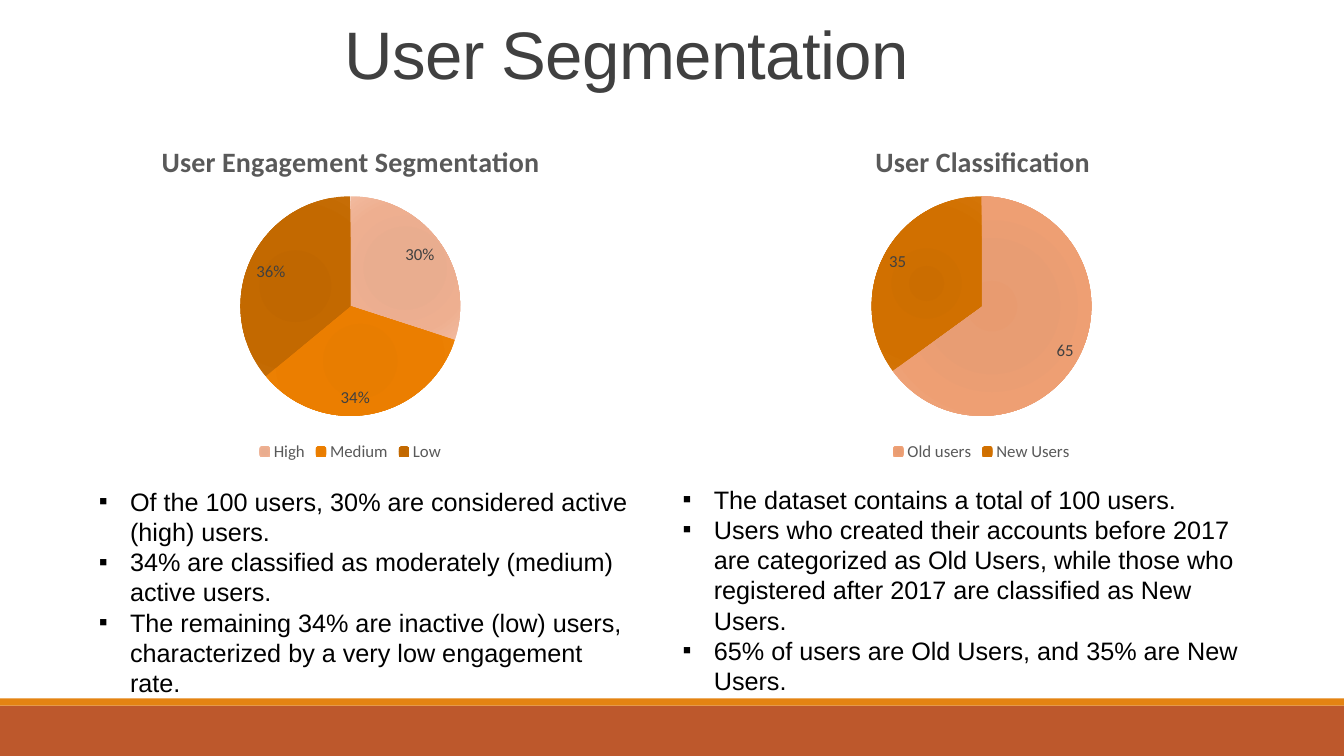
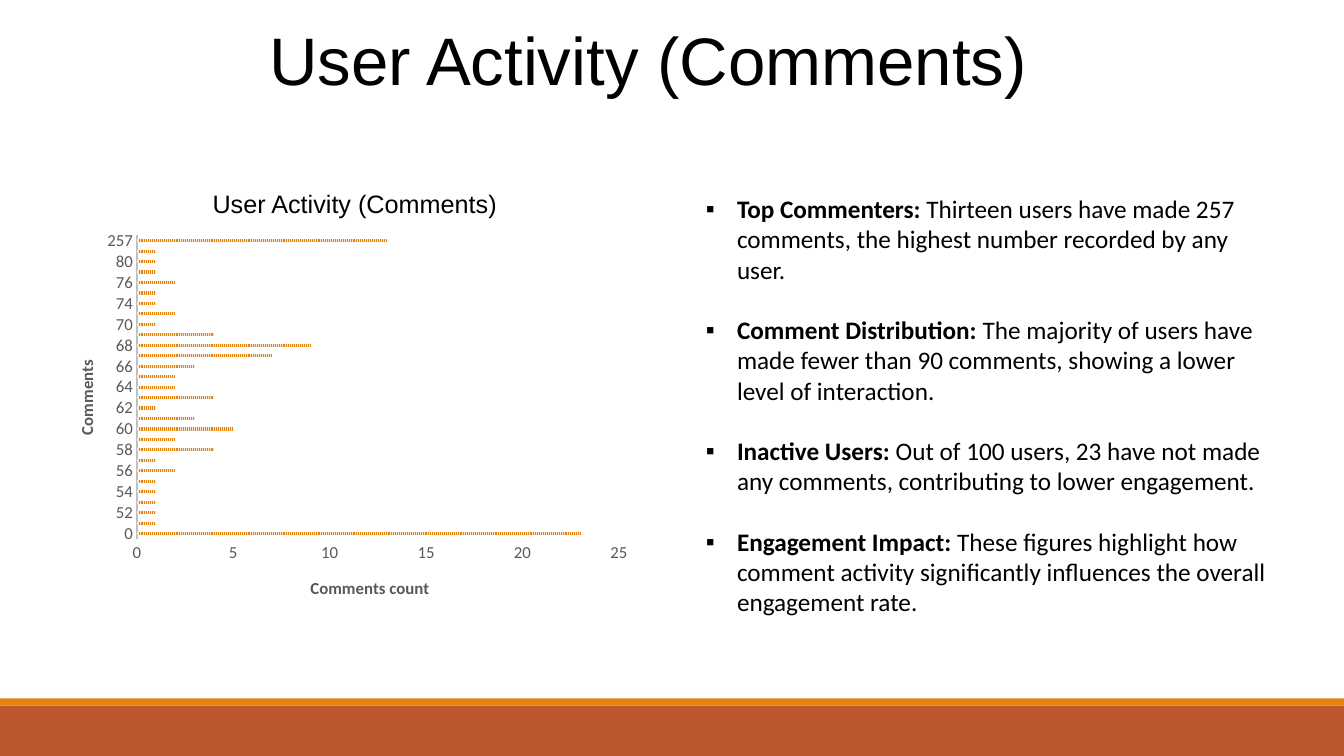
from pptx import Presentation, oxml
from pptx import util as u
from pptx.chart import data as chart_data
from pptx.dml import color
from pptx.enum import chart as chart_enum
from pptx.enum import dml, shapes, text
from pptx.oxml import ns

COLORS = {
    "band": "BD582C",
    "stripe": "E48312",
    "stripe_light": "FBE6CE",
    "title": "404040",
    "text": "000000",
    "label": "595959",
    "axis": "BFBFBF",
}
GRADIENT_STOPS = (0, 34, 70, 100)
PIE_DIAMETER = 2.18
BULLET_INDENT = 0.31
ENGAGEMENT_FILLS = (
    ("E8AB8C", "E9AD8F", "EEAF90", "F2BA9E"),
    ("E57B00", "E87D00", "EB7E00", "EF8407"),
    ("BE6600", "C06700", "C36900", "C66D06"),
)
CLASSIFICATION_FILLS = (
    ("E89B70", "E89D73", "EE9F73", "F0A982"),
    ("CB6D00", "CE6F00", "D17000", "D47507"),
)
ENGAGEMENT_NOTES = (
    "Of the 100 users, 30% are considered active (high) users.",
    "34% are classified as moderately (medium) active users.",
    "The remaining 34% are inactive (low) users, characterized by a very low engagement rate.",
)
CLASSIFICATION_NOTES = (
    "The dataset contains a total of 100 users.",
    "Users who created their accounts before 2017 are categorized as Old Users, "
    "while those who registered after 2017 are classified as New Users.",
    "65% of users are Old Users, and 35% are New Users.",
)
COMMENT_NOTES = (
    ("Top Commenters:", " Thirteen users have made 257 comments, the highest number recorded by any user."),
    ("Comment Distribution:", " The majority of users have made fewer than 90 comments, "
     "showing a lower level of interaction."),
    ("Inactive Users:", " Out of 100 users, 23 have not made any comments, contributing to lower engagement."),
    ("Engagement Impact:", " These figures highlight how comment activity significantly "
     "influences the overall engagement rate."),
)
USERS_BY_COMMENTS = {
    0: 23, 49: 1, 52: 1, 53: 1, 54: 1, 55: 1, 56: 2, 57: 1, 58: 4, 59: 2,
    60: 5, 61: 3, 62: 1, 63: 4, 64: 2, 65: 2, 66: 3, 67: 7, 68: 9, 69: 4,
    70: 1, 72: 2, 74: 1, 75: 1, 76: 2, 77: 1, 80: 1, 83: 1, 257: 13,
}


def rgb(name):
    """Return the colour held under a name."""
    return color.RGBColor.from_string(COLORS[name])


def inches(box):
    """Convert a box of numbers to lengths."""
    return [u.Inches(value) for value in box]


def style_font(font, size=18, name="Arial", fill="text", bold=False):
    """Set the look of a font."""
    font.size, font.name, font.bold = u.Pt(size), name, bold
    font.color.rgb = rgb(fill)


def write(paragraph, content, spacing=None, **style):
    """Add formatted text to a paragraph."""
    run = paragraph.add_run()
    run.text = content
    style_font(run.font, **style)
    if spacing:
        run._r.get_or_add_rPr().set("spc", str(spacing))


def place(shape, box):
    """Move and size a shape."""
    shape.left, shape.top, shape.width, shape.height = inches(box)


def add_master_bands(presentation, slide):
    """Put the two footer bands on the slide master."""
    for name, top, height in (("stripe", 6.93, 0.07), ("band", 7, 0.5)):
        band = slide.shapes.add_shape(
            shapes.MSO_SHAPE.RECTANGLE, 0, u.Inches(top), presentation.slide_width, u.Inches(height))
        band.shadow.inherit = False
        band.fill.solid()
        band.fill.fore_color.rgb = rgb(name)
        band.line.fill.background()
        presentation.slide_master.shapes.element.insert(2, band.element)


def set_title(slide, box, content, anchor, line_spacing=1.0, **style):
    """Fill the title placeholder."""
    title = slide.shapes.title
    place(title, box)
    frame = title.text_frame
    frame.auto_size = text.MSO_AUTO_SIZE.NONE
    frame.vertical_anchor = anchor
    paragraph = frame.paragraphs[0]
    paragraph.alignment = text.PP_ALIGN.LEFT
    paragraph.line_spacing = line_spacing
    write(paragraph, content, size=48, **style)


def add_bullets(placeholder, box, items, gap=0, name="Arial"):
    """Fill a body placeholder with bullets, each a text or a bold lead and a text."""
    place(placeholder, box)
    frame = placeholder.text_frame
    frame.auto_size = text.MSO_AUTO_SIZE.NONE
    for index, item in enumerate(items):
        paragraph = frame.paragraphs[0] if index == 0 else frame.add_paragraph()
        paragraph.line_spacing = u.Pt(21.6)
        paragraph.space_before = u.Pt(gap if index else 0)
        properties = paragraph._p.get_or_add_pPr()
        indent = u.Inches(BULLET_INDENT)
        properties.set("marL", str(indent))
        properties.set("indent", str(-indent))
        for tag in ('buFont typeface="Arial"', 'buChar char="▪"'):
            properties.append(oxml.parse_xml(f"<a:{tag.replace(' ', ' ' + ns.nsdecls('a') + ' ', 1)}/>"))
        lead, body = ("", item) if isinstance(item, str) else item
        if lead:
            write(paragraph, lead, name=name, bold=True)
        write(paragraph, body, name=name)


def set_layout(parent, index, x, y, size=None):
    """Give a chart part a fixed place, in fractions of the chart."""
    for layout in parent.xpath("c:layout"):
        parent.remove(layout)
    values = {"x": x, "y": y}
    tags = '<c:xMode val="edge"/><c:yMode val="edge"/>'
    if size:
        tags = '<c:layoutTarget val="inner"/>' + tags
        values.update(zip("wh", size))
    tags += "".join(f'<c:{key} val="{value:.3f}"/>' for key, value in values.items())
    parent.insert(index, oxml.parse_xml(
        f"<c:layout {ns.nsdecls('c')}><c:manualLayout>{tags}</c:manualLayout></c:layout>"))


def set_chart_title(title, content, x, y, size):
    """Write a bold title at a fixed place in a chart."""
    write(title.text_frame.paragraphs[0], content, size=size, name="Calibri", fill="label", bold=True)
    set_layout(title.element, 1, x, y)


def add_chart(slide, kind, box, categories, values):
    """Add a chart with one series."""
    data = chart_data.CategoryChartData()
    data.categories = categories
    data.add_series("Series 1", values)
    chart = slide.shapes.add_chart(kind, *inches(box), data).chart
    style_font(chart.font, 10, "Calibri")
    chart.has_legend = False
    chart.has_title = False
    return chart


def add_pie(slide, box, title, title_left, slices, fills, percent=False):
    """Add a pie chart with radial gradients, labels and a legend."""
    width, height = box[2:]
    chart = add_chart(slide, chart_enum.XL_CHART_TYPE.PIE, box, list(slices), list(slices.values()))
    chart.has_title = True
    set_chart_title(chart.chart_title, title, title_left, 0.06, 20)
    size = PIE_DIAMETER / width, PIE_DIAMETER / height
    set_layout(chart.element.xpath("//c:plotArea")[0], 0, (1 - size[0]) / 2, 0.23, size)
    chart.has_legend = True
    chart.legend.position = chart_enum.XL_LEGEND_POSITION.BOTTOM
    chart.legend.include_in_layout = False
    style_font(chart.legend.font, 12, "Calibri", "label")

    plot = chart.plots[0]
    plot.vary_by_categories = True
    plot.has_data_labels = True
    labels = plot.data_labels
    style_font(labels.font, 12, "Calibri", "title")
    labels.show_percentage, labels.show_value = percent, not percent
    labels.number_format = "0%" if percent else "General"
    labels.number_format_is_linked = False
    position = chart_enum.XL_LABEL_POSITION
    labels.position = position.INSIDE_END if percent else position.BEST_FIT

    for index in range(len(fills)):
        plot.series[0].points[index].format.fill.background()
    for properties, tones in zip(chart.element.xpath("//c:dPt/c:spPr"), fills):
        stops = "".join(
            f'<a:gs pos="{stop * 1000}"><a:srgbClr val="{tone}"/></a:gs>'
            for stop, tone in zip(GRADIENT_STOPS, tones))
        properties.replace(properties[0], oxml.parse_xml(
            f'<a:gradFill {ns.nsdecls("a")}><a:gsLst>{stops}</a:gsLst><a:path path="circle">'
            '<a:fillToRect l="100000" t="100000" r="100000" b="100000"/></a:path></a:gradFill>'))


def add_comment_bars(slide, box):
    """Add the bar chart of users by number of comments."""
    chart = add_chart(slide, chart_enum.XL_CHART_TYPE.BAR_CLUSTERED, box,
                      [str(count) for count in USERS_BY_COMMENTS], list(USERS_BY_COMMENTS.values()))
    plot = chart.plots[0]
    plot.vary_by_categories = False
    plot.gap_width, plot.overlap = 227, -48
    fill = plot.series[0].format.fill
    fill.patterned()
    fill.pattern = dml.MSO_PATTERN.NARROW_VERTICAL
    fill.fore_color.rgb, fill.back_color.rgb = rgb("stripe"), rgb("stripe_light")
    set_layout(chart.element.xpath("//c:plotArea")[0], 0, 0.13, 0.12, (0.82, 0.7))

    count_axis, comment_axis = chart.value_axis, chart.category_axis
    for axis, title, x, y in ((comment_axis, "Comments", 0.02, 0.4),
                              (count_axis, "Comments count", 0.42, 0.9)):
        axis.has_major_gridlines = False
        axis.major_tick_mark = axis.minor_tick_mark = chart_enum.XL_TICK_MARK.NONE
        style_font(axis.tick_labels.font, 12, "Calibri", "label")
        set_chart_title(axis.axis_title, title, x, y, 12)
    comment_axis.axis_title.element.xpath(".//a:bodyPr")[0].set("rot", "-5400000")
    comment_axis.format.line.color.rgb = rgb("axis")
    comment_axis.format.line.width = u.Pt(1.5)
    count_axis.minimum_scale, count_axis.maximum_scale, count_axis.major_unit = 0, 25, 5
    count_axis.format.line.fill.background()


def build_segmentation(slide):
    """Build the slide with two pies and their notes."""
    set_title(slide, (3.32, 0, 6.7, 0.97), "User Segmentation", text.MSO_ANCHOR.BOTTOM,
              line_spacing=0.85, fill="title", spacing=-50)
    add_pie(slide, (0.65, 1.15, 5.65, 3.47), "User Engagement Segmentation", 0.16,
            {"High": 30, "Medium": 34, "Low": 36}, ENGAGEMENT_FILLS, percent=True)
    add_pie(slide, (6.67, 1.15, 6.13, 3.47), "User Classification", 0.32,
            {"Old users": 65, "New Users": 35}, CLASSIFICATION_FILLS)
    add_bullets(slide.placeholders[1], (0.88, 4.77, 5.53, 2.2), ENGAGEMENT_NOTES)
    add_bullets(slide.placeholders[2], (6.67, 4.75, 5.71, 2.2), CLASSIFICATION_NOTES)


def build_activity(slide):
    """Build the slide with the comment chart and its notes."""
    heading = "User Activity (Comments)"
    set_title(slide, (2.57, 0.13, 7.9, 0.91), heading, text.MSO_ANCHOR.TOP)
    add_bullets(slide.placeholders[1], (6.9, 1.87, 5.83, 4.35), COMMENT_NOTES, gap=21.6, name="Calibri")
    add_comment_bars(slide, (0.6, 1.82, 5.83, 4.3))
    caption = slide.shapes.add_textbox(*inches((2.01, 1.82, 3.1, 0.4))).text_frame
    caption.word_wrap = True
    write(caption.paragraphs[0], heading)


def main():
    """Build and save the presentation."""
    presentation = Presentation()
    presentation.slide_width, presentation.slide_height = u.Inches(13.33), u.Inches(7.5)
    layouts = presentation.slide_layouts
    segmentation = presentation.slides.add_slide(layouts.get_by_name("Two Content"))
    add_master_bands(presentation, segmentation)
    build_segmentation(segmentation)
    build_activity(presentation.slides.add_slide(layouts.get_by_name("Title and Content")))
    presentation.save("out.pptx")


if __name__ == "__main__":
    main()
